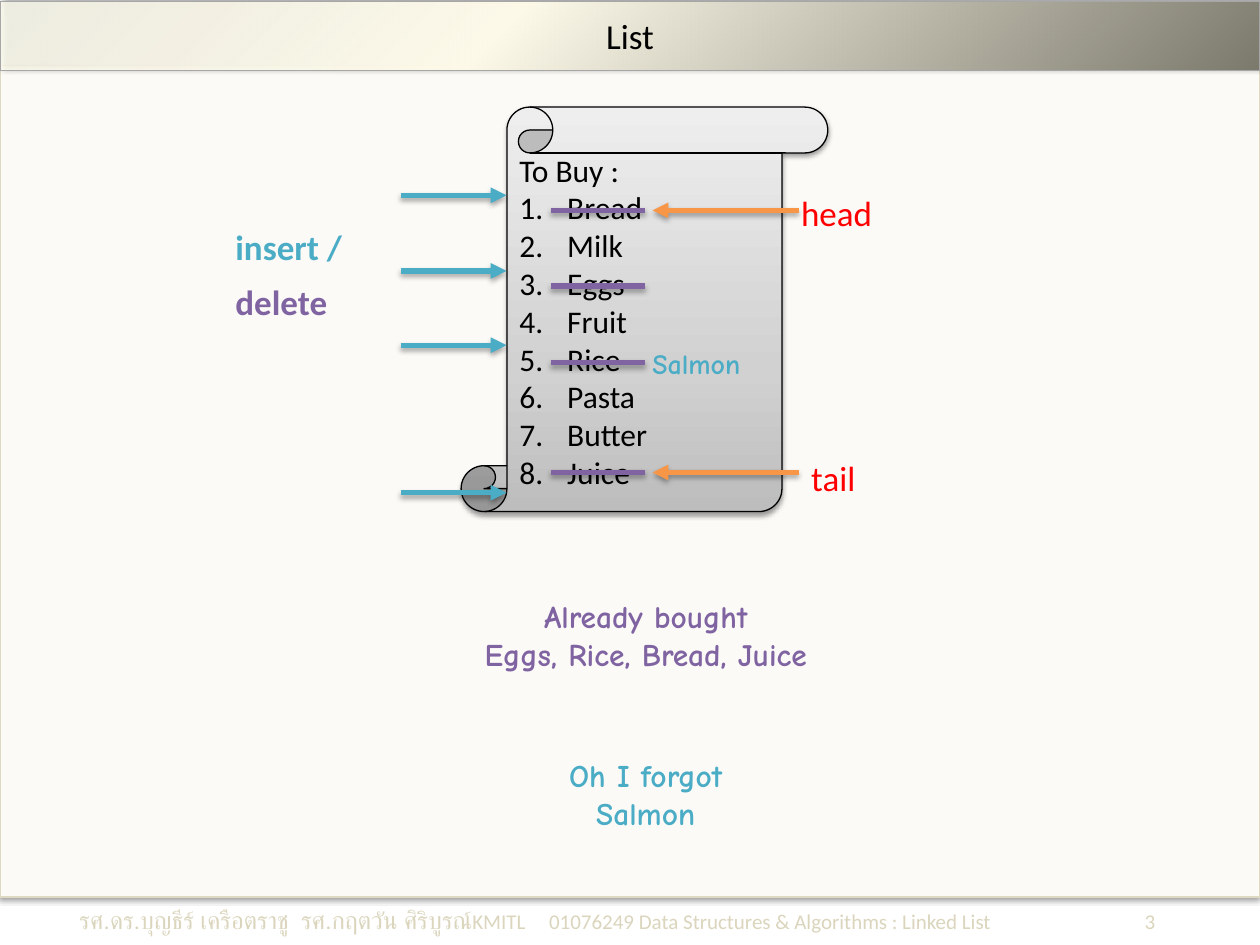
"""Build the slide that explains a list through a shopping list."""
import pptx
import pptx.util
import pptx.dml.color
import pptx.enum.shapes
import pptx.enum.text
import pptx.oxml
import pptx.oxml.ns
from lxml import etree

Inches = pptx.util.Inches
Pt = pptx.util.Pt
qn = pptx.oxml.ns.qn
PRESET = pptx.enum.shapes.MSO_SHAPE
CENTER = pptx.enum.text.PP_ALIGN.CENTER
LEFT = pptx.enum.text.PP_ALIGN.LEFT
MIDDLE = pptx.enum.text.MSO_ANCHOR.MIDDLE
ORANGE, PURPLE, TEAL, RED, SAND = "F79646", "8064A2", "4BACC6", "FF0000", "DAD5BC"


def color(value):
    return pptx.dml.color.RGBColor.from_string(value)


def add_shadow(part, opacity, blur, distance, angle):
    effects = etree.SubElement(part._element.spPr, qn("a:effectLst"))
    shadow = etree.SubElement(
        effects, qn("a:outerShdw"), blurRad=str(Pt(blur)), dist=str(Pt(distance)),
        dir=str(angle * 60000), rotWithShape="0")
    black = etree.SubElement(shadow, qn("a:srgbClr"), val="000000")
    etree.SubElement(black, qn("a:alpha"), val=str(opacity * 1000))


deck = pptx.Presentation()
deck.slide_width, deck.slide_height = Inches(10), Inches(7.5)
slide = deck.slides.add_slide(deck.slide_layouts[6])

panels = []
for preset, box, outline, shadow in [
    (PRESET.RECTANGLE, (0, 0.52, 10, 6.6), "DDD9C3", (38, 3.1, 1.6, 90)),
    (PRESET.RECTANGLE, (0, 0.01, 10, 0.55), "A6A6A6", (40, 4, 3, 315)),
    (PRESET.VERTICAL_SCROLL, (3.66, 0.85, 2.91, 3.21), "000000", (38, 3.1, 1.6, 90)),
]:
    panel = slide.shapes.add_shape(preset, *map(Inches, box))
    panel.fill.solid()
    panel.fill.fore_color.rgb = color("FBFAF7")
    panel.line.color.rgb = color(outline)
    panel.line.width = Pt(0.75)
    add_shadow(panel, *shadow)
    panels.append(panel)
body, title, scroll = panels

for panel, angle, stops in [
    (title, 45, [(0, "FEFCEE", 79), (40, "FDFAEA", 100), (100, "7B796B", 100)]),
    (scroll, 270, [(0, "BDBDBD", 100), (35, "D1D1D1", 100), (100, "EEEEEE", 100)]),
]:
    properties = panel._element.spPr
    gradient = pptx.oxml.parse_xml(
        f'<a:gradFill {pptx.oxml.ns.nsdecls("a")} rotWithShape="1"><a:gsLst/>'
        f'<a:lin ang="{angle * 60000}" scaled="0"/></a:gradFill>')
    for position, shade, opacity in stops:
        stop = etree.SubElement(gradient[0], qn("a:gs"), pos=str(position * 1000))
        tone = etree.SubElement(stop, qn("a:srgbClr"), val=shade)
        etree.SubElement(tone, qn("a:alpha"), val=str(opacity * 1000))
    properties.replace(properties.find(qn("a:solidFill")), gradient)

groceries = ["Bread", "Milk", "Eggs", "Fruit", "Rice", "Pasta", "Butter", "Juice"]
plain = {"name": "Calibri", "size": Pt(20), "bold": False}
strong = {**plain, "bold": True}
listed = {**plain, "size": Pt(18)}
note = {"name": "Comic Neue", "size": Pt(18), "bold": True}
small_note = {**note, "size": Pt(16)}

for place, lines, shade, style, alignment, wrap in [
    (title, ["List"], "000000", plain, CENTER, True),
    (scroll, ["To Buy :", *groceries], "000000", listed, LEFT, True),
    ((4.06, 5.95, 2.13, 0.71), ["Oh I forgot Salmon"], TEAL, note, CENTER, True),
    ((3.43, 4.69, 3.39, 0.71), ["Already bought", "Eggs, Rice, Bread, Juice"],
     PURPLE, note, CENTER, True),
    ((6.26, 1.47, 0.84, 0.39), ["head"], RED, plain, LEFT, True),
    ((6.34, 3.57, 0.77, 0.35), ["tail"], RED, plain, LEFT, True),
    ((1.77, 1.74, 1.36, 0.77), ["insert /"], TEAL, strong, LEFT, True),
    ((1.77, 2.18, 0.94, 0.44), ["delete"], PURPLE, strong, LEFT, False),
    ((5.08, 2.7, 0.95, 0.37), ["Salmon"], TEAL, small_note, LEFT, False),
]:
    if isinstance(place, tuple):
        frame = slide.shapes.add_textbox(*map(Inches, place)).text_frame
    else:
        frame = place.text_frame
        frame.vertical_anchor = MIDDLE
    frame.word_wrap = wrap
    frame.text = "\n".join(lines)
    for paragraph in frame.paragraphs:
        paragraph.alignment = alignment
        font = paragraph.runs[0].font
        font.color.rgb = color(shade)
        for attribute, value in style.items():
            setattr(font, attribute, value)

for item in scroll.text_frame.paragraphs[1:]:
    numbering = item._p.get_or_add_pPr()
    numbering.set("marL", str(Inches(0.38)))
    numbering.set("indent", str(Inches(-0.38)))
    etree.SubElement(numbering, qn("a:buFont"), typeface="+mj-lt")
    etree.SubElement(numbering, qn("a:buAutoNum"), type="arabicPeriod")

footer = slide.shapes.add_textbox(*map(Inches, (0.53, 7.11, 8.98, 0.37))).text_frame
footer.word_wrap = True
credits = footer.paragraphs[0]
tabs = etree.SubElement(credits._p.get_or_add_pPr(), qn("a:tabLst"))
for position, kind in [(4.32, "dec"), (8.54, "r")]:
    etree.SubElement(tabs, qn("a:tab"), pos=str(Inches(position)), algn=kind)
for words, typeface, size in [
    ("รศ.ดร.บุญธีร์ เครือตราชู  รศ.กฤตวัน ศิริบูรณ์", "Roboto", 14),
    ("\tKMITL     01076249 Data Structures & Algorithms : Linked List", "Calibri", 12),
    ("\t", "Calibri", 16),
    ("3", "Calibri", 12),
]:
    run = credits.add_run()
    run.text = words
    run.font.name, run.font.size = typeface, Pt(size)
    run.font.color.rgb = color(SAND)

for shade, start, end, heights, arrow in [
    (ORANGE, 6.34, 5.18, (1.67, 3.75), True),
    (PURPLE, 4.37, 5.12, (1.67, 2.27, 2.88, 3.75), False),
    (TEAL, 3.18, 4.02, (1.55, 2.15, 2.74, 3.91), True),
]:
    for height in heights:
        stroke = slide.shapes.add_connector(
            pptx.enum.shapes.MSO_CONNECTOR.STRAIGHT,
            *map(Inches, (start, height, end, height)))
        stroke.line.color.rgb = color(shade)
        stroke.line.width = Pt(3)
        if arrow:
            etree.SubElement(stroke._element.spPr.find(qn("a:ln")),
                             qn("a:tailEnd"), type="triangle")
        add_shadow(stroke, 35, 3.1, 1.8, 90)

deck.save("out.pptx")
